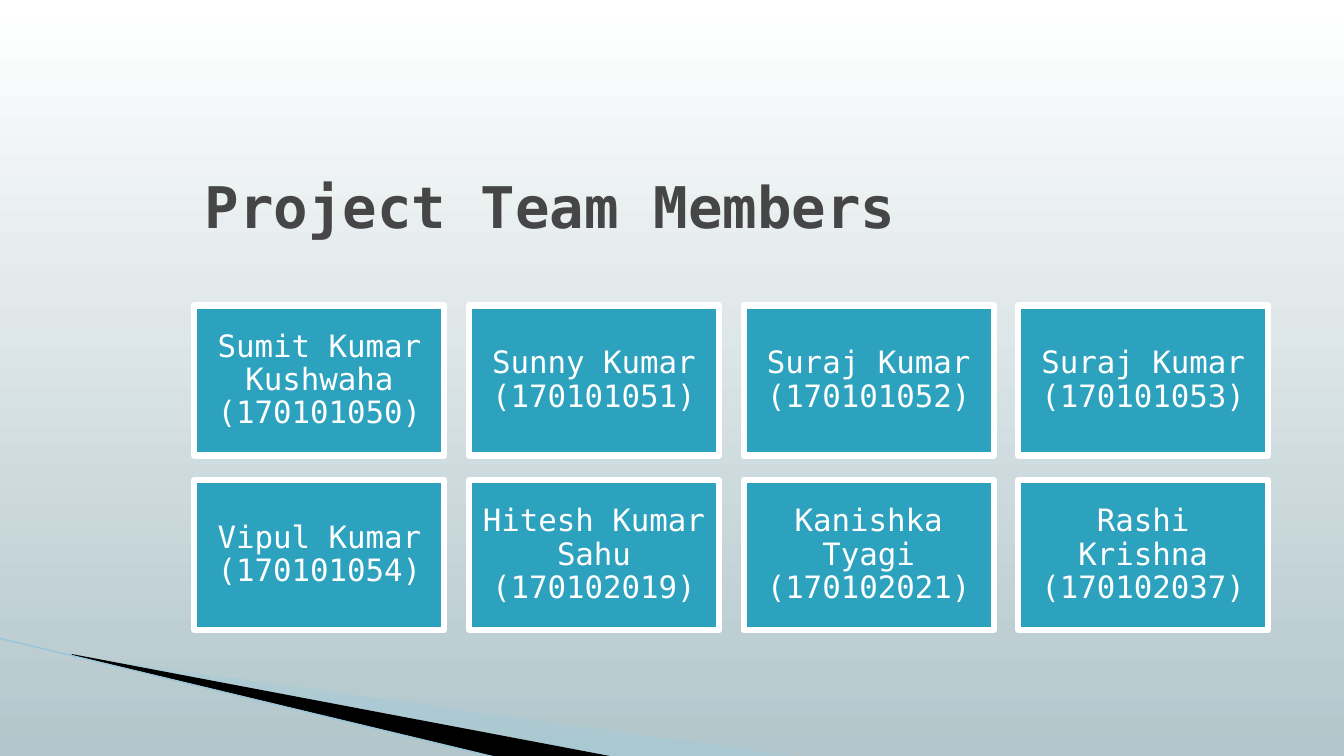
import lxml.etree
import pptx
import pptx.dml.color
import pptx.enum.shapes
import pptx.enum.text
import pptx.oxml.ns
import pptx.util

Cm = pptx.util.Cm
Pt = pptx.util.Pt
qn = pptx.oxml.ns.qn

FONT = "DejaVu Sans Mono"
MEMBERS = [
    "Sumit Kumar Kushwaha (170101050)",
    "Sunny Kumar (170101051)",
    "Suraj Kumar (170101052)",
    "Suraj Kumar (170101053)",
    "Vipul Kumar (170101054)",
    "Hitesh Kumar Sahu (170102019)",
    "Kanishka Tyagi (170102021)",
    "Rashi Krishna (170102037)",
]
COLUMNS = 4
TILE_LEFT, TILE_TOP = 4.9, 7.7
TILE_WIDTH, TILE_HEIGHT = 6.3, 3.78
COLUMN_STEP, ROW_STEP = 6.92, 4.4

SHADE_POINTS = [(1.85, 16.53), (20.14, 19.07), (15.44, 19.07), (1.85, 16.51)]
WEDGE_POINTS = [(1.8, 16.48), (15.47, 19.07), (12.6, 19.1), (1.83, 16.51)]


def color(hex_text):
    return pptx.dml.color.RGBColor.from_string(hex_text)


def set_values(target, values):
    for name, value in values.items():
        setattr(target, name, value)


def fill_solid(shape, hex_text):
    shape.fill.solid()
    shape.fill.fore_color.rgb = color(hex_text)


def set_text(shape, text, font_color, frame_values, paragraph_values, font_values):
    shape.text_frame.text = text
    set_values(shape.text_frame, frame_values)
    paragraph = shape.text_frame.paragraphs[0]
    set_values(paragraph, paragraph_values)
    font = paragraph.runs[0].font
    set_values(font, {"name": FONT, **font_values})
    font.color.rgb = color(font_color)


def set_background(slide):
    fill = slide.background.fill
    fill.gradient()
    fill.gradient_angle = 270
    for stop, hex_text, position in zip(fill.gradient_stops, ("FFFFFF", "B2C6CB"), (0, 1)):
        stop.color.rgb = color(hex_text)
        stop.position = position


def add_polygon(slide, points, hex_text, opacity=100):
    first, *others = [(Cm(x), Cm(y)) for x, y in points]
    builder = slide.shapes.build_freeform(*first)
    builder.add_line_segments(others, close=True)
    shape = builder.convert_to_shape()
    shape.shadow.inherit = False
    fill_solid(shape, hex_text)
    shape.line.fill.background()
    if opacity < 100:
        fill_color = shape.fill._xPr.find(qn("a:solidFill"))[0]
        alpha = lxml.etree.SubElement(fill_color, qn("a:alpha"))
        alpha.set("val", str(opacity * 1000))


def add_edge_line(slide):
    line = slide.shapes.add_connector(
        pptx.enum.shapes.MSO_CONNECTOR.STRAIGHT, Cm(-0.03), Cm(16.08), Cm(12.57), Cm(19.1)
    )
    line.line.color.rgb = color("97C5D8")
    line.line.width = Pt(0.95)
    lxml.etree.SubElement(line._element.spPr, qn("a:effectLst"))


def add_member_tile(slide, index, member):
    row, column = divmod(index, COLUMNS)
    tile = slide.shapes.add_shape(
        pptx.enum.shapes.MSO_SHAPE.RECTANGLE,
        Cm(TILE_LEFT + column * COLUMN_STEP),
        Cm(TILE_TOP + row * ROW_STEP),
        Cm(TILE_WIDTH),
        Cm(TILE_HEIGHT),
    )
    tile.shadow.inherit = False
    fill_solid(tile, "2DA2BF")
    tile.line.color.rgb = color("FFFFFF")
    tile.line.width = Pt(4.33)
    margins = {f"margin_{side}": Cm(0.23) for side in ("left", "top", "right", "bottom")}
    set_text(
        tile, member, "FFFFFF",
        {"word_wrap": True, "vertical_anchor": pptx.enum.text.MSO_ANCHOR.MIDDLE, **margins},
        {"alignment": pptx.enum.text.PP_ALIGN.CENTER, "line_spacing": 0.9},
        {"size": Pt(22)},
    )


def format_title(slide):
    title = slide.shapes.title
    set_values(title, {"left": Cm(4.9), "top": Cm(1.9), "width": Cm(27.05), "height": Cm(4.88)})
    set_text(
        title, "Project Team Members", "464646",
        {
            "word_wrap": True,
            "auto_size": pptx.enum.text.MSO_AUTO_SIZE.NONE,
            "vertical_anchor": pptx.enum.text.MSO_ANCHOR.MIDDLE,
            "margin_top": Cm(1.81),
        },
        {"alignment": pptx.enum.text.PP_ALIGN.LEFT},
        {"size": Pt(41), "bold": True},
    )


def main():
    presentation = pptx.Presentation()
    set_values(presentation, {"slide_width": Cm(33.87), "slide_height": Cm(19.05)})
    slide = presentation.slides.add_slide(presentation.slide_layouts[5])
    set_background(slide)
    add_polygon(slide, SHADE_POINTS, "A0CBDC", opacity=40)
    add_polygon(slide, WEDGE_POINTS, "000000")
    add_edge_line(slide)
    for index, member in enumerate(MEMBERS):
        add_member_tile(slide, index, member)
    format_title(slide)
    presentation.save("out.pptx")


if __name__ == "__main__":
    main()
